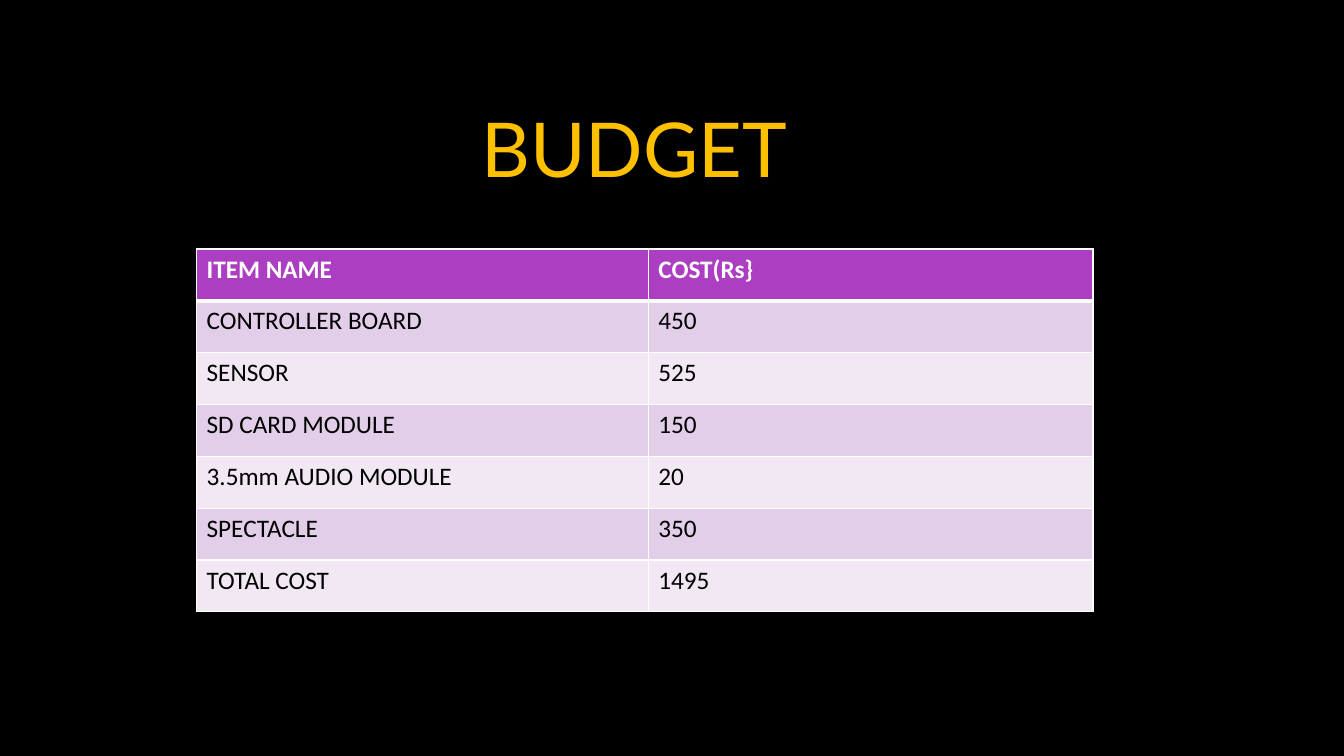
from lxml import etree
from pptx import Presentation
from pptx.dml.color import RGBColor
from pptx.enum.text import MSO_ANCHOR, PP_ALIGN
from pptx.oxml.ns import qn
from pptx.util import Inches, Pt

CENTER, MIDDLE = PP_ALIGN.CENTER, MSO_ANCHOR.MIDDLE

TITLE = "BUDGET"
BUDGET_ROWS = [
    ("ITEM NAME", "COST(Rs}"),
    ("CONTROLLER BOARD", "450"),
    ("SENSOR", "525"),
    ("SD CARD MODULE", "150"),
    ("3.5mm AUDIO MODULE", "20"),
    ("SPECTACLE", "350"),
    ("TOTAL COST", "1495"),
]
TITLE_BOX = {"left": 0.75, "top": 0.67, "width": 11.08, "height": 1.59}
TABLE_LEFT, TABLE_TOP = 1.95, 2.47
COLUMN_WIDTHS = (4.48, 4.41)
TABLE_HEIGHT = 3.6

THEME = {
    "background": "000000",
    "header_fill": "AC3EC1",
    "band_fills": ("E3CEE9", "F1E8F4"),
    "border": "FFFFFF",
    "title": {"name": "Lato", "size": Pt(54), "bold": False, "color": "FFC000"},
    "header": {"name": "Calibri", "size": Pt(18), "bold": True, "color": "FFFFFF"},
    "body": {"name": "Calibri", "size": Pt(18), "bold": False, "color": "000000"},
}


def format_font(font, values):
    for attribute, value in values.items():
        if attribute == "color":
            font.color.rgb = RGBColor.from_string(value)
        else:
            setattr(font, attribute, value)


def set_borders(cell, widths):
    """Draw the cell's edges; widths maps L, R, T, B (in that order) to points."""
    properties = cell._tc.get_or_add_tcPr()
    for position, (side, width) in enumerate(widths.items()):
        line = etree.Element(qn(f"a:ln{side}"), w=str(Pt(width)))
        fill = etree.SubElement(line, qn("a:solidFill"))
        etree.SubElement(fill, qn("a:srgbClr"), val=THEME["border"])
        properties.insert(position, line)


def add_title(slide):
    title = slide.shapes.title
    for attribute, length in TITLE_BOX.items():
        setattr(title, attribute, Inches(length))
    title.text_frame.text = TITLE
    title.text_frame.vertical_anchor = MIDDLE
    paragraph = title.text_frame.paragraphs[0]
    paragraph.alignment = CENTER
    format_font(paragraph.runs[0].font, THEME["title"])


def add_budget_table(slide):
    table = slide.shapes.add_table(
        len(BUDGET_ROWS), len(COLUMN_WIDTHS), Inches(TABLE_LEFT), Inches(TABLE_TOP),
        Inches(sum(COLUMN_WIDTHS)), Inches(TABLE_HEIGHT)).table
    for column, width in zip(table.columns, COLUMN_WIDTHS):
        column.width = Inches(width)
    for row, texts in enumerate(BUDGET_ROWS):
        is_header = row == 0
        fill = THEME["header_fill"] if is_header else THEME["band_fills"][(row - 1) % 2]
        borders = {"L": 1, "R": 1, "T": 3 if row == 1 else 1, "B": 3 if is_header else 1}
        for column, text in enumerate(texts):
            cell = table.cell(row, column)
            cell.text = text
            format_font(cell.text_frame.paragraphs[0].runs[0].font,
                        THEME["header" if is_header else "body"])
            cell.fill.solid()
            cell.fill.fore_color.rgb = RGBColor.from_string(fill)
            set_borders(cell, borders)


def main():
    presentation = Presentation()
    presentation.slide_width, presentation.slide_height = Inches(13.33), Inches(7.5)
    slide = presentation.slides.add_slide(presentation.slide_layouts[5])
    slide.background.fill.solid()
    slide.background.fill.fore_color.rgb = RGBColor.from_string(THEME["background"])
    add_title(slide)
    add_budget_table(slide)
    presentation.save("out.pptx")


if __name__ == "__main__":
    main()
